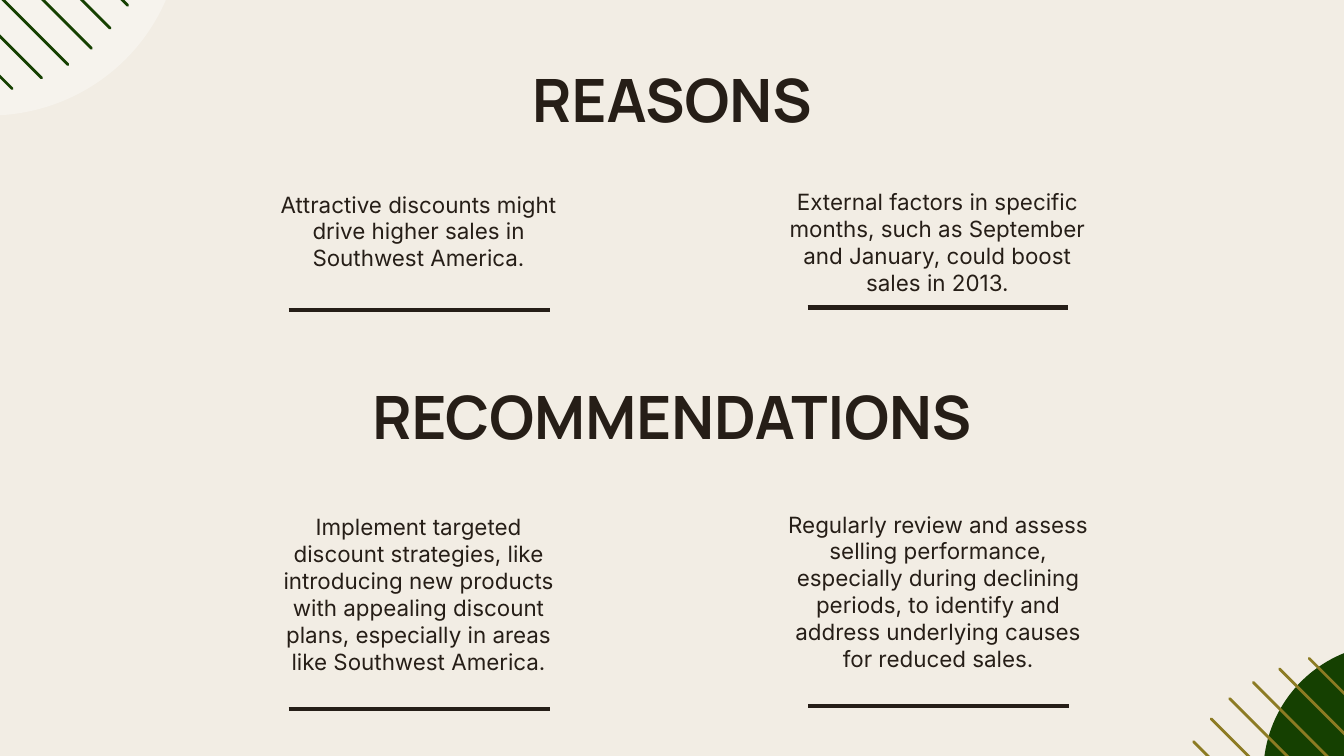
from typing import NamedTuple

from lxml.etree import SubElement
from pptx import Presentation
from pptx.dml.color import RGBColor
from pptx.enum.shapes import MSO_CONNECTOR, MSO_SHAPE
from pptx.enum.text import MSO_ANCHOR, PP_ALIGN
from pptx.oxml.ns import qn
from pptx.util import Pt

CREAM = RGBColor(0xF2, 0xED, 0xE4)
WHITE = RGBColor(0xFF, 0xFF, 0xFF)
GREEN = RGBColor(0x15, 0x40, 0x01)
OLIVE = RGBColor(0x8C, 0x7B, 0x23)
INK = RGBColor(0x26, 0x1E, 0x17)

BOX_H = 55.4
NOTE_W = 176.4
RULE_INDENT = 18.6
RULE_W = 139.7
MIRROR_X, MIRROR_Y = 707.8, 400.2


class Stripe(NamedTuple):
    """A 45-degree stripe, given by its visible tip in the top left corner."""
    x: float
    y: float
    run: float


class Heading(NamedTuple):
    text: str
    top: float


class Note(NamedTuple):
    text: str
    left: float
    top: float
    rule_y: float


STRIPES = [
    Stripe(68.4, 2.9, 140.4),
    Stripe(59, 15.1, 146),
    Stripe(49, 25.9, 141),
    Stripe(36.4, 34.6, 140),
    Stripe(22.3, 41.8, 133.5),
    Stripe(6.5, 47.5, 123),
]
HEADINGS = [Heading("REASONS", 25.2), Heading("RECOMMENDATIONS", 195.1)]
NOTES = [
    Note("Attractive discounts might drive higher sales in Southwest America.",
         136.1, 95, 166.2),
    Note("External factors in specific months, such as September and January, "
         "could boost sales in 2013.", 414, 93.6, 164.7),
    Note("Implement targeted discount strategies, like introducing new products "
         "with appealing discount plans, especially in areas like Southwest America.",
         136.1, 267.8, 380),
    Note("Regularly review and assess selling performance, especially during "
         "declining periods, to identify and address underlying causes for "
         "reduced sales.", 414.4, 266.4, 378.2),
]


def add_disc(s, left: float, top: float, width: float, height: float,
             color: RGBColor, opacity: int = 100) -> None:
    sp = s.shapes.add_shape(MSO_SHAPE.OVAL, Pt(left), Pt(top), Pt(width), Pt(height))
    sp.shadow.inherit = False
    sp.line.fill.background()
    sp.fill.solid()
    sp.fill.fore_color.rgb = color
    if opacity < 100:
        clr = sp.fill._xPr.find(".//" + qn("a:srgbClr"))
        SubElement(clr, qn("a:alpha"), val=str(opacity * 1000))


def add_line(s, x1: float, y1: float, x2: float, y2: float,
             color: RGBColor, width: float, cap: str = "flat") -> None:
    cxn = s.shapes.add_connector(MSO_CONNECTOR.STRAIGHT, Pt(x1), Pt(y1), Pt(x2), Pt(y2))
    cxn.line.color.rgb = color
    cxn.line.width = Pt(width)
    cxn.line._get_or_add_ln().set("cap", cap)
    SubElement(cxn._element.spPr, qn("a:effectLst"))


def add_text(s, text: str, left: float, top: float, width: float, font: str,
             size: float, bold: bool, anchor: MSO_ANCHOR) -> None:
    tf = s.shapes.add_textbox(Pt(left), Pt(top), Pt(width), Pt(BOX_H)).text_frame
    tf.word_wrap = True
    tf.vertical_anchor = anchor
    tf.margin_left = tf.margin_right = tf.margin_top = tf.margin_bottom = Pt(7.2)
    tf.text = text
    p = tf.paragraphs[0]
    p.alignment = PP_ALIGN.CENTER
    r = p.runs[0]
    r.font.name = font
    r.font.size = Pt(size)
    r.font.bold = bold
    r.font.color.rgb = INK


def add_corners(s) -> None:
    """Draw the striped discs; the bottom stripes mirror the top ones."""
    add_disc(s, -108.7, -142.6, 205.9, 204.5, WHITE, opacity=36)
    for x, y, run in STRIPES:
        add_line(s, x - run, y - run, x, y, GREEN, 1.5, "rnd")
    add_disc(s, 676.8, 344.9, 138.2, 138.2, GREEN)
    for x, y, run in STRIPES:
        tip_x, tip_y = MIRROR_X - x, MIRROR_Y - y
        add_line(s, tip_x, tip_y, tip_x + run, tip_y + run, OLIVE, 1.5, "rnd")


def add_note(s, note: Note) -> None:
    add_text(s, note.text, note.left, note.top, NOTE_W, "Inter", 12, False, MSO_ANCHOR.TOP)
    x = note.left + RULE_INDENT
    add_line(s, x, note.rule_y, x + RULE_W, note.rule_y, INK, 2.25)


def main() -> None:
    prs = Presentation()
    prs.slide_width, prs.slide_height = Pt(720), Pt(405)
    s = prs.slides.add_slide(prs.slide_layouts[6])
    s.background.fill.solid()
    s.background.fill.fore_color.rgb = CREAM
    add_corners(s)
    for heading in HEADINGS:
        add_text(s, heading.text, 56.2, heading.top, 607.7, "Manrope", 32, True,
                 MSO_ANCHOR.MIDDLE)
    for note in NOTES:
        add_note(s, note)
    prs.save("out.pptx")


if __name__ == "__main__":
    main()
